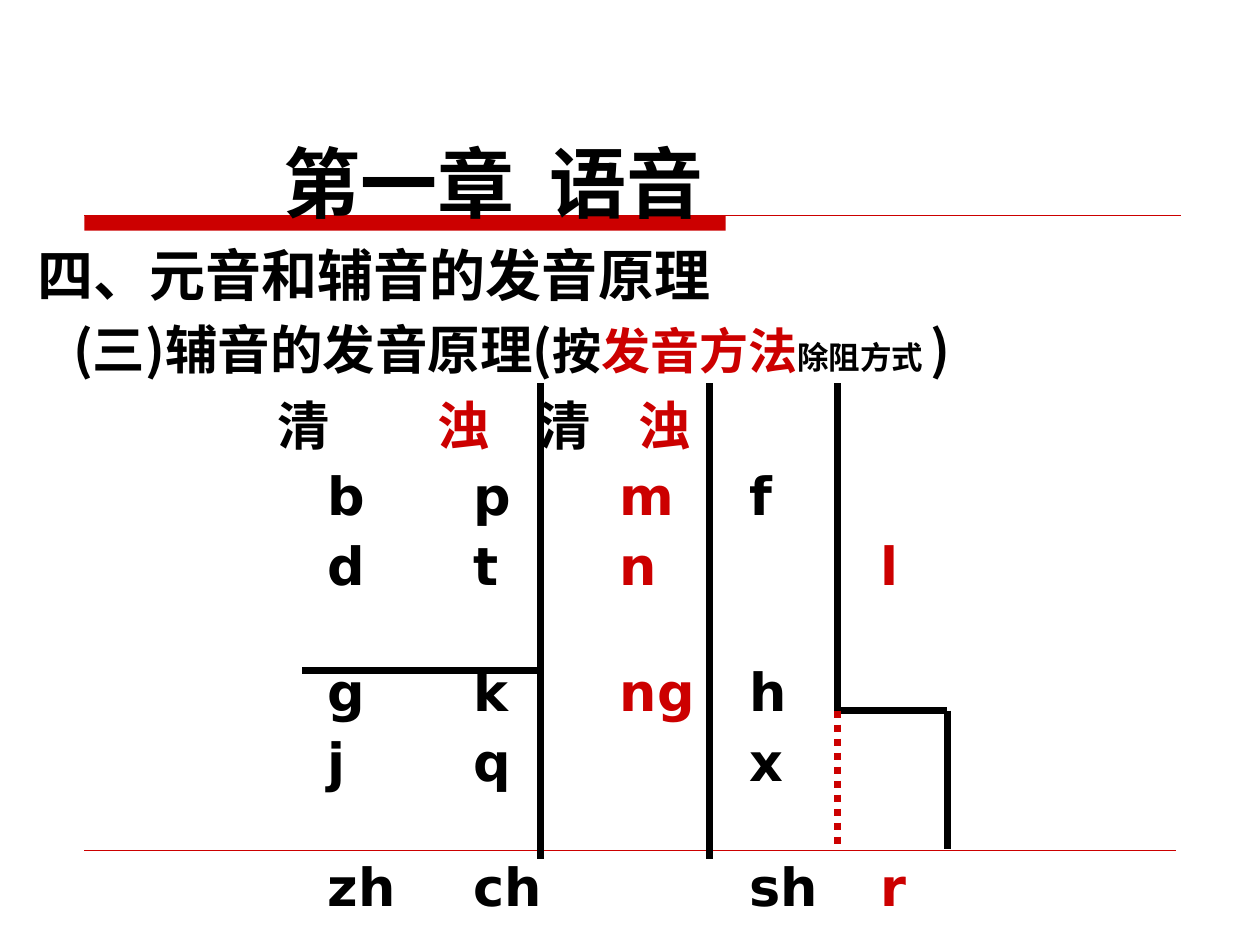
import pptx
import pptx.util
import pptx.dml.color
import pptx.enum.dml
import pptx.enum.shapes
import pptx.enum.text
import pptx.oxml.ns
import lxml.etree

Inches = pptx.util.Inches
Pt = pptx.util.Pt
BLACK = "000000"
RED = "CC0000"
LATIN = "DejaVu Sans"
CHINESE = "Noto Sans CJK SC"


def write_paragraph(paragraph, runs, indent=0, tabs=()):
    properties = paragraph._p.get_or_add_pPr()
    properties.set("marL", str(Inches(indent)))
    lxml.etree.SubElement(properties, pptx.oxml.ns.qn("a:buNone"))
    if tabs:
        tab_list = lxml.etree.SubElement(properties, pptx.oxml.ns.qn("a:tabLst"))
        for position in tabs:
            lxml.etree.SubElement(tab_list, pptx.oxml.ns.qn("a:tab"), pos=str(Inches(position)), algn="l")
    paragraph.alignment = pptx.enum.text.PP_ALIGN.LEFT
    for text, size, color, font in runs:
        run = paragraph.add_run()
        run.text = text
        run.font.size = Pt(size)
        run.font.bold = True
        run.font.name = font
        run.font.color.rgb = pptx.dml.color.RGBColor.from_string(color)
        east_asian = lxml.etree.SubElement(run._r.get_or_add_rPr(), pptx.oxml.ns.qn("a:ea"))
        east_asian.set("typeface", CHINESE)


def add_line(start, end, color, width):
    line = slide.shapes.add_connector(
        pptx.enum.shapes.MSO_CONNECTOR.STRAIGHT, *[Inches(value) for value in start + end])
    line.line.color.rgb = pptx.dml.color.RGBColor.from_string(color)
    line.line.width = Pt(width)
    lxml.etree.SubElement(line._element.spPr, pptx.oxml.ns.qn("a:effectLst"))
    return line


presentation = pptx.Presentation()
presentation.slide_width = Inches(10)
presentation.slide_height = Inches(7.5)
for level in presentation.slide_master.element.iter(pptx.oxml.ns.qn("a:lvl1pPr")):
    level.attrib.pop("indent", None)
slide = presentation.slides.add_slide(presentation.slide_layouts[1])
title, body = slide.placeholders

bar = slide.shapes.add_shape(
    pptx.enum.shapes.MSO_SHAPE.RECTANGLE, Inches(0.67), Inches(1.71), Inches(5.09), Inches(0.12))
bar.shadow.inherit = False
bar.fill.solid()
bar.fill.fore_color.rgb = pptx.dml.color.RGBColor.from_string(RED)
bar.line.fill.background()
title_rule = add_line((0.67, 1.71), (9.37, 1.71), RED, 1)
footer_rule = add_line((0.67, 6.75), (9.33, 6.75), RED, 0.25)
for position, shape in enumerate((bar, title_rule, footer_rule), start=2):
    slide.shapes._spTree.insert(position, shape._element)

for placeholder, bounds in ((title, (0.63, 0.76, 8.75, 1.1)), (body, (0.2, 1.92, 9.53, 5.3))):
    placeholder.left, placeholder.top, placeholder.width, placeholder.height = map(Inches, bounds)
    placeholder.text_frame.word_wrap = True
    placeholder.text_frame.auto_size = pptx.enum.text.MSO_AUTO_SIZE.NONE

title.text_frame.vertical_anchor = pptx.enum.text.MSO_ANCHOR.BOTTOM
write_paragraph(title.text_frame.paragraphs[0], [("第一章  语音", 44, BLACK, LATIN)], 1.52)

header_tabs = (1.9, 3.17, 3.97, 4.77)
letter_tabs = (2.3, 3.46, 4.62, 5.65, 6.69)
lines = [
    (0, 0, (), [("四、元音和辅音的发音原理", 32, BLACK, LATIN)]),
    (9, 0.28, (), [
        ("(三)辅音的发音原理(", 30, BLACK, CHINESE),
        ("按", 28, BLACK, LATIN),
        ("发音方法", 28, RED, LATIN),
        ("除阻方式 ", 18, BLACK, LATIN),
        (")", 30, BLACK, CHINESE),
    ]),
    (11, 0, header_tabs, [
        ("\t" + text, 30, color, LATIN)
        for text, color in (("清", BLACK), ("浊", RED), ("清", BLACK), ("浊", RED))
    ]),
]
letter_rows = [
    (7.5, ("b", "p", "m", "f")),
    (7.5, ("d", "t", "n", "", "l")),
    (39.5, ("g", "k", "ng", "h")),
    (7.5, ("j", "q", "", "x")),
    (39.5, ("zh", "ch", "", "sh", "r")),
]
for space, letters in letter_rows:
    runs = [("\t" + letter, 30, RED if column in (2, 4) else BLACK, LATIN)
            for column, letter in enumerate(letters)]
    lines.append((space, 0, letter_tabs, runs))

for number, (space, indent, tabs, runs) in enumerate(lines):
    paragraph = body.text_frame.add_paragraph() if number else body.text_frame.paragraphs[0]
    write_paragraph(paragraph, runs, indent, tabs)
    paragraph.line_spacing = 0.9
    paragraph.space_before = Pt(space)

dividers = [
    ((5.63, 3.04), (5.63, 6.82)),
    ((6.65, 3.04), (6.65, 5.64)),
    ((4.29, 3.04), (4.29, 6.82)),
    ((4.29, 5.32), (2.4, 5.32)),
    ((7.52, 5.64), (7.52, 6.74)),
    ((7.52, 5.64), (6.65, 5.64)),
]
for start, end in dividers:
    add_line(start, end, BLACK, 4)
dotted_divider = add_line((6.65, 5.64), (6.65, 6.74), RED, 4)
dotted_divider.line.dash_style = pptx.enum.dml.MSO_LINE.ROUND_DOT

presentation.save("out.pptx")
